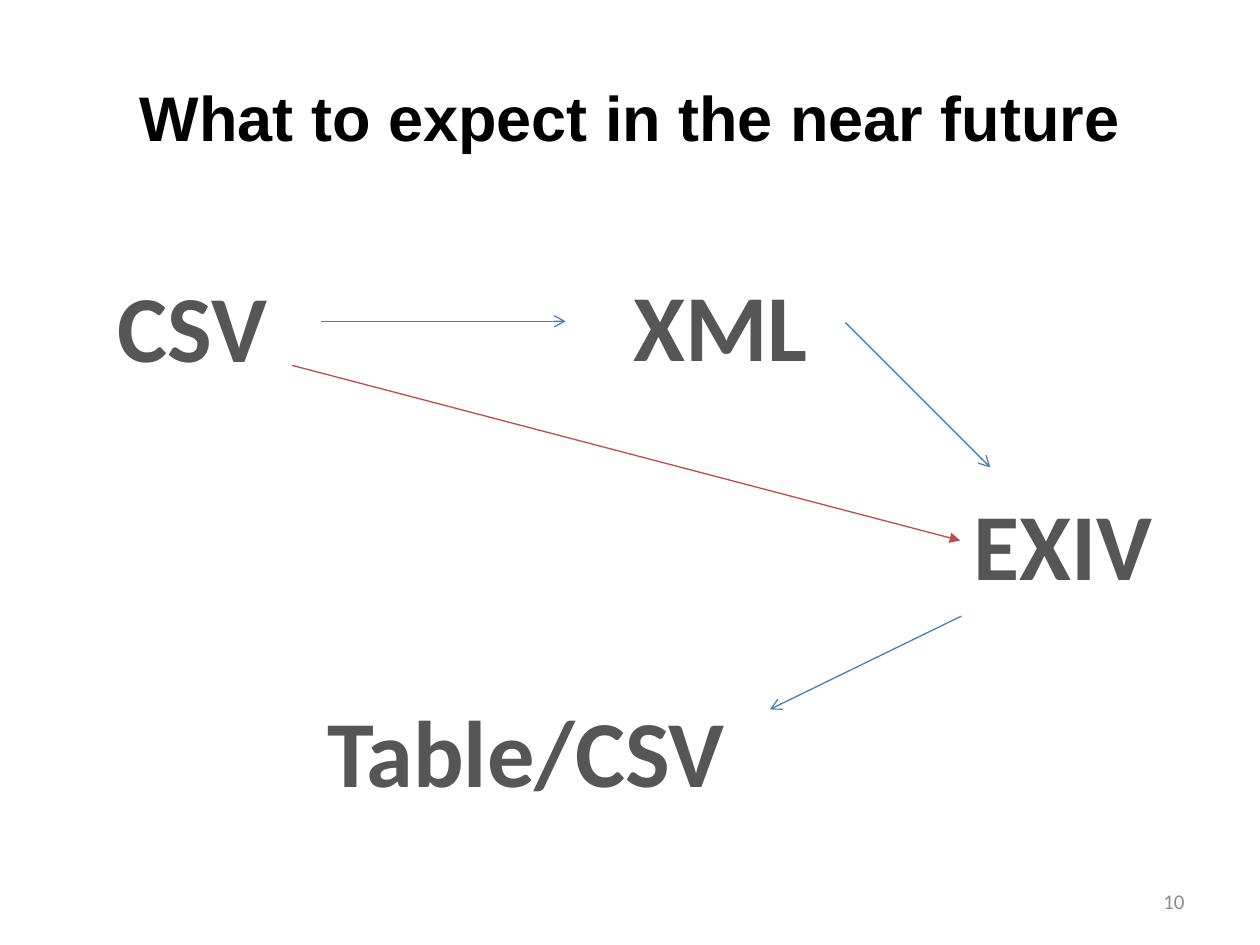
from dataclasses import dataclass

import pptx
import pptx.dml.color
import pptx.enum.shapes
import pptx.enum.text
import pptx.oxml.ns
import pptx.util
from lxml import etree
from pptx.util import Inches

ALIGN = pptx.enum.text.PP_ALIGN
ANCHOR = pptx.enum.text.MSO_ANCHOR


@dataclass(frozen=True)
class Theme:
    heading_font: str = "Arial"
    body_font: str = "Calibri"
    title_size: int = 36
    label_size: int = 54
    number_size: int = 12
    line_width: float = 0.75
    black: str = "000000"
    label: str = "565656"
    muted: str = "8C8C8C"
    step: str = "497DBC"
    shortcut: str = "BF4C48"


THEME = Theme()


def rgb(value):
    return pptx.dml.color.RGBColor.from_string(value)


def add_text(page, box, text, color, align, anchor, wrap=True, **font):
    frame = page.shapes.add_textbox(*map(Inches, box)).text_frame
    for name, value in {"word_wrap": wrap, "vertical_anchor": anchor}.items():
        setattr(frame, name, value)
    para = frame.paragraphs[0]
    para.alignment = align
    span = para.add_run()
    span.text = text
    for name, value in font.items():
        setattr(span.font, name, value)
    span.font.color.rgb = rgb(color)


def add_arrow(page, start, end, color, head):
    arrow = page.shapes.add_connector(
        pptx.enum.shapes.MSO_CONNECTOR.STRAIGHT, *map(Inches, start + end))
    arrow.line.width = pptx.util.Pt(THEME.line_width)
    arrow.line.color.rgb = rgb(color)
    qn = pptx.oxml.ns.qn
    etree.SubElement(arrow.line._get_or_add_ln(), qn("a:tailEnd"), type=head)
    etree.SubElement(arrow._element.spPr, qn("a:effectLst"))


def add_title(page, box):
    add_text(page, box, "What to expect in the near future", THEME.black,
             ALIGN.CENTER, ANCHOR.MIDDLE, name=THEME.heading_font,
             size=pptx.util.Pt(THEME.title_size), bold=True)


def add_format_flow(page, box):
    """Place the format names and their arrows from the box's top left corner."""
    left, top, _, height = box
    label_height = 1.01
    middle_row = top + 1.74
    bottom_row = top + height - label_height
    labels = [
        ("XML", left + 4.09, top, 1.6),
        ("CSV", left, top + 0.01, 1.4),
        ("EXIV", left + 6.79, middle_row, 1.64),
        ("Table/CSV", left + 1.65, bottom_row, 3.39),
    ]
    for text, x, y, width in labels:
        add_text(page, (x, y, width, label_height), text, THEME.label,
                 ALIGN.CENTER, ANCHOR.TOP, wrap=False, name=THEME.body_font,
                 size=pptx.util.Pt(THEME.label_size), bold=True)

    arrows = [
        ((1.72, 0.48), (3.66, 0.48), THEME.step, "arrow"),
        ((5.88, 0.49), (7.03, 1.64), THEME.step, "arrow"),
        ((6.8, 2.82), (5.28, 3.56), THEME.step, "arrow"),
        ((1.49, 0.83), (6.79, 2.22), THEME.shortcut, "triangle"),
    ]
    for start, end, color, head in arrows:
        start, end = ((left + x, top + y) for x, y in (start, end))
        add_arrow(page, start, end, color, head)


def add_page_number(page, box):
    add_text(page, box, "10", THEME.muted, ALIGN.RIGHT, ANCHOR.MIDDLE,
             name=THEME.body_font, size=pptx.util.Pt(THEME.number_size))


def main():
    deck = pptx.Presentation()
    deck.slide_width, deck.slide_height = Inches(10), Inches(7.5)
    page = deck.slides.add_slide(deck.slide_layouts[6])
    add_title(page, (0.5, 0.3, 9, 1.25))
    add_format_flow(page, (0.83, 2.07, 8.43, 4.39))
    add_page_number(page, (7.17, 6.95, 2.33, 0.4))
    deck.save("out.pptx")


if __name__ == "__main__":
    main()
